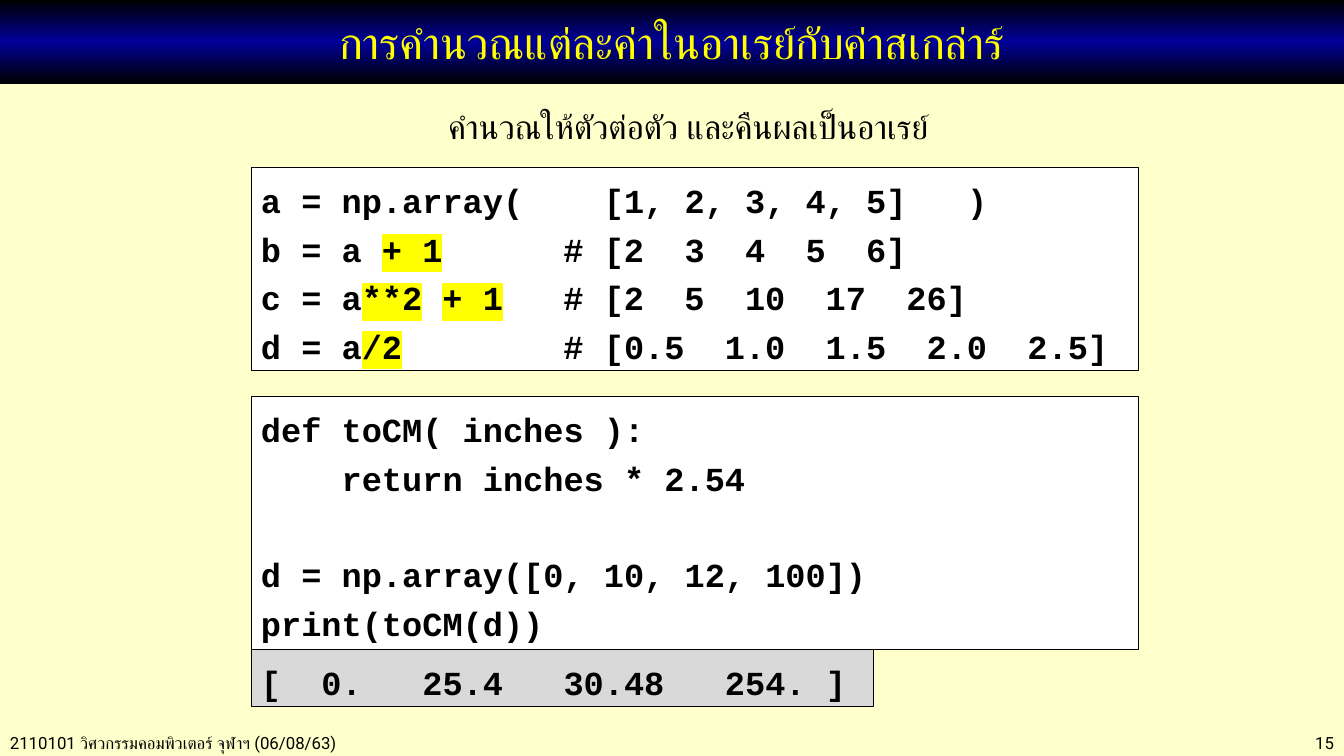
from dataclasses import dataclass

from lxml.etree import SubElement
from pptx import Presentation
from pptx.dml.color import RGBColor
from pptx.enum.shapes import MSO_SHAPE
from pptx.enum.text import MSO_ANCHOR, PP_ALIGN
from pptx.oxml import parse_xml
from pptx.oxml.ns import nsdecls, qn
from pptx.util import Inches, Pt


@dataclass(frozen=True)
class Theme:
    """Colours, fonts and type sizes of the slide."""
    page: str = "FFFFCC"
    ink: str = "000000"
    band: str = "000099"
    title: str = "FFFF00"
    mark: str = "FFFF00"
    code: str = "FFFFFF"
    output: str = "D9D9D9"
    sans: str = "Roboto"
    mono: str = "Courier New"
    title_size: int = 32
    body_size: int = 24
    footer_size: int = 12
    code_spacing: float = 1.2
    blank_line: float = 34.5


THEME = Theme()
WIDTH, HEIGHT = 13.33, 7.5
CODE_LEFT, CODE_WIDTH = 2.49, 8.8

ARRAY_CODE = [
    ["a = np.array(    [1, 2, 3, 4, 5]   )"],
    ["b = a ", "+ 1", "      # [2  3  4  5  6]"],
    ["c = a", "**2", " ", "+ 1", "   # [2  5  10  17  26]"],
    ["d = a", "/2", "        # [0.5  1.0  1.5  2.0  2.5]"],
]
FUNCTION_CODE = [
    ["def toCM( inches ):"],
    ["    return inches * 2.54"],
    [],
    ["d = np.array([0, 10, 12, 100])"],
    ["print(toCM(d))"],
]
OUTPUT = [["[  0.   25.4   30.48   254. ]"]]


def add_run(p, text, size, color, font, bold=False, mark=None):
    """Add one styled run, with an optional highlight colour."""
    r = p.add_run()
    r.text = text
    r.font.size, r.font.bold, r.font.name = Pt(size), bold, font
    r.font.color.rgb = RGBColor.from_string(color)
    rpr = r.font._element
    SubElement(rpr, qn("a:cs"), typeface=font)
    if mark:
        rpr.find(qn("a:solidFill")).addnext(parse_xml(
            f'<a:highlight {nsdecls("a")}><a:srgbClr val="{mark}"/></a:highlight>'))


def add_rect(slide, box):
    """Add a flat rectangle with left, wrapped text."""
    sp = slide.shapes.add_shape(MSO_SHAPE.RECTANGLE, *map(Inches, box))
    sp.shadow.inherit = False
    sp.text_frame.word_wrap = True
    return sp


def add_title(slide, box, text):
    """Draw the gradient title band."""
    sp = add_rect(slide, box)
    sp.line.fill.background()
    sp.fill.background()
    stops = "".join(f'<a:gs pos="{pos}"><a:srgbClr val="{color}"/></a:gs>' for pos, color in
                    ((0, THEME.ink), (50000, THEME.band), (100000, THEME.ink)))
    sppr = sp._element.spPr
    sppr.replace(sppr.find(qn("a:noFill")), parse_xml(
        f'<a:gradFill {nsdecls("a")} rotWithShape="1"><a:gsLst>{stops}</a:gsLst>'
        '<a:lin ang="5400000" scaled="1"/></a:gradFill>'))
    tf = sp.text_frame
    tf.vertical_anchor = MSO_ANCHOR.MIDDLE
    tf.paragraphs[0].alignment = PP_ALIGN.CENTER
    add_run(tf.paragraphs[0], text, THEME.title_size, THEME.title, THEME.sans)


def add_label(slide, box, text, size, align=PP_ALIGN.LEFT):
    """Add a one-line text box."""
    tf = slide.shapes.add_textbox(*map(Inches, box)).text_frame
    tf.word_wrap = True
    p = tf.paragraphs[0]
    p.alignment = align
    add_run(p, text, size, THEME.ink, THEME.sans)


def add_code(slide, box, lines, fill):
    """Add a code panel; odd runs are highlighted and an empty line becomes a gap."""
    sp = add_rect(slide, box)
    sp.fill.solid()
    sp.fill.fore_color.rgb = RGBColor.from_string(fill)
    sp.line.color.rgb = RGBColor.from_string(THEME.ink)
    sp.line.width = Pt(0.75)
    tf = sp.text_frame
    tf.vertical_anchor = MSO_ANCHOR.TOP
    gap = 0
    for i, line in enumerate(lines):
        if not line:
            gap = THEME.blank_line
            continue
        p = tf.add_paragraph() if i else tf.paragraphs[0]
        p.alignment = PP_ALIGN.LEFT
        p.line_spacing, p.space_before = THEME.code_spacing, Pt(gap)
        gap = 0
        for j, text in enumerate(line):
            add_run(p, text, THEME.body_size, THEME.ink, THEME.mono, True,
                    THEME.mark if j % 2 else None)


def add_footer(slide, box, course, number):
    """Place the course at the left and the page number at the right."""
    left, top, width, height = box
    number_width = 1.84
    add_label(slide, (left, top, 5.2, height), course, THEME.footer_size)
    add_label(slide, (left + width - number_width, top, number_width, height),
              number, THEME.footer_size, PP_ALIGN.RIGHT)


def main():
    """Build and save the slide."""
    prs = Presentation()
    prs.slide_width, prs.slide_height = Inches(WIDTH), Inches(HEIGHT)
    slide = prs.slides.add_slide(prs.slide_layouts[6])
    slide.background.fill.solid()
    slide.background.fill.fore_color.rgb = RGBColor.from_string(THEME.page)
    add_footer(slide, (0, 7.22, WIDTH, 0.3),
               "2110101 วิศวกรรมคอมพิวเตอร์ จุฬาฯ (06/08/63)", "15")
    add_title(slide, (0, 0, WIDTH, 0.83), "การคำนวณแต่ละค่าในอาเรย์กับค่าสเกล่าร์")
    add_code(slide, (CODE_LEFT, 1.66, CODE_WIDTH, 2.02), ARRAY_CODE, THEME.code)
    add_code(slide, (CODE_LEFT, 3.93, CODE_WIDTH, 2.51), FUNCTION_CODE, THEME.code)
    add_code(slide, (CODE_LEFT, 6.44, 6.17, 0.57), OUTPUT, THEME.output)
    add_label(slide, (CODE_LEFT, 1, 8.67, 0.5), "คำนวณให้ตัวต่อตัว และคืนผลเป็นอาเรย์",
              THEME.body_size, PP_ALIGN.CENTER)
    prs.save("out.pptx")


if __name__ == "__main__":
    main()
